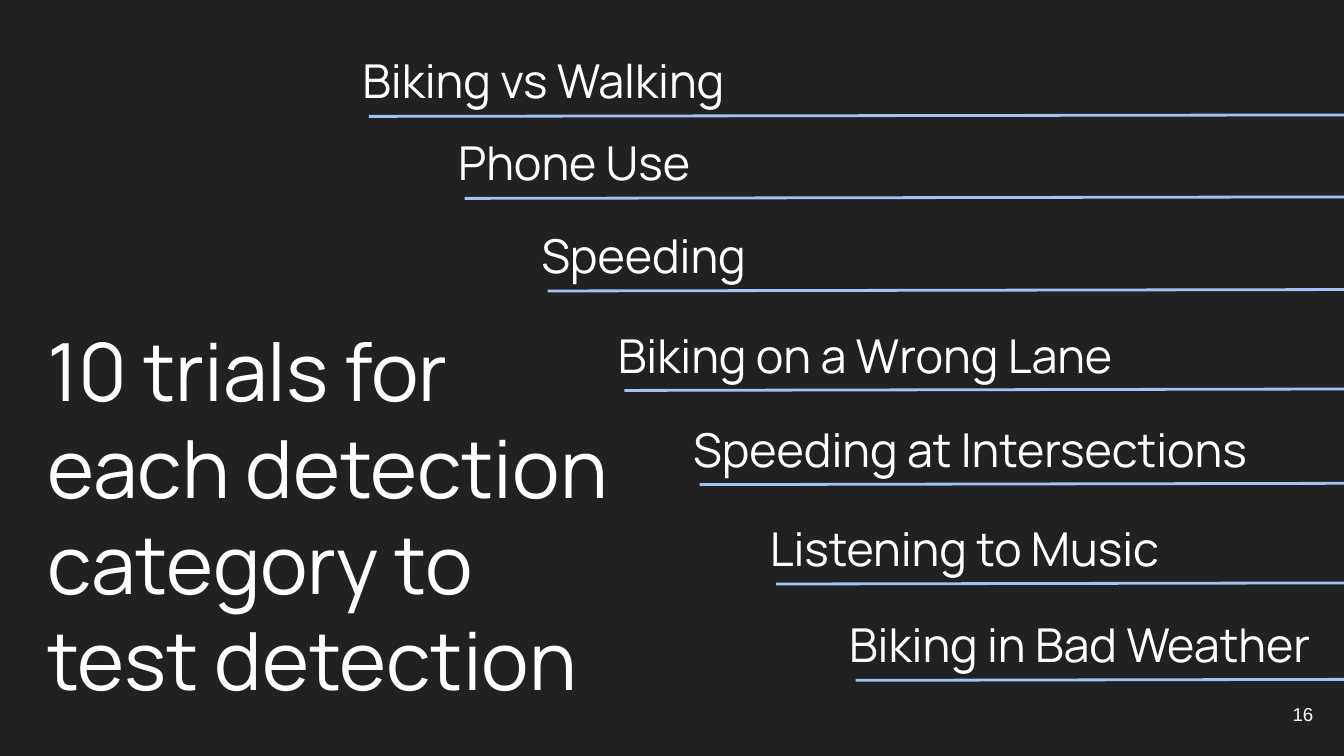
import dataclasses

import pptx
import pptx.dml.color
import pptx.enum.shapes
import pptx.enum.text
import pptx.oxml.ns
import pptx.util
from lxml import etree
from pptx.util import Cm


@dataclasses.dataclass(frozen=True)
class Theme:
    """Colours, fonts and type sizes of the deck."""
    background: str = "212121"
    text: str = "FFFFFF"
    rule: str = "A4C2F4"
    font: str = "Manrope"
    number_font: str = "Arial"
    headline_size: int = 43
    category_size: int = 25
    number_size: int = 10
    rule_width: float = 1.5


@dataclasses.dataclass(frozen=True)
class Box:
    """A region of the slide in centimetres."""
    left: float
    top: float
    width: float
    height: float

    def lengths(self):
        """Return the four lengths for python-pptx."""
        return [Cm(value) for value in dataclasses.astuple(self)]


THEME = Theme()
INSET = 0.25
CATEGORY_HEIGHT = 1.6
RULE_INDENT, RULE_DROP, RULE_RISE = 0.37, 1.46, 0.03

CATEGORIES = [
    ("Biking vs Walking", 6.6, 0.74, 16.84, 19.89),
    ("Phone Use", 8.41, 2.29, 11.56, 17.76),
    ("Speeding", 9.98, 4.04, 8.79, 16.74),
    ("Biking on a Wrong Lane", 11.43, 5.92, 12.37, 14.97),
    ("Speeding at Intersections", 12.85, 7.7, 11.56, 14.97),
    ("Listening to Music", 14.3, 9.58, 8.79, 14.97),
    ("Biking in Bad Weather", 15.8, 11.4, 10.11, 14.97),
]


def rgb(value):
    """Turn a hex string into a colour."""
    return pptx.dml.color.RGBColor.from_string(value)


def write(frame, words, size, font, anchor, alignment):
    """Format a text frame and add its single run."""
    frame.word_wrap = True
    frame.auto_size = pptx.enum.text.MSO_AUTO_SIZE.NONE
    frame.vertical_anchor = anchor
    frame.margin_left = frame.margin_right = Cm(INSET)
    frame.margin_top = frame.margin_bottom = Cm(INSET)
    paragraph = frame.paragraphs[0]
    paragraph.alignment = alignment
    paragraph.line_spacing = 1.0
    paragraph.space_before = pptx.util.Pt(0)
    run = paragraph.add_run()
    run.text = words
    run.font.size = pptx.util.Pt(size)
    run.font.name = font
    run.font.color.rgb = rgb(THEME.text)


def add_headline(slide, box, words):
    """Place the statement in the title placeholder."""
    headline = slide.shapes.title
    headline.left, headline.top, headline.width, headline.height = box.lengths()
    write(headline.text_frame, words, THEME.headline_size, THEME.font,
          pptx.enum.text.MSO_ANCHOR.BOTTOM, pptx.enum.text.PP_ALIGN.LEFT)


def add_category(slide, box, words, rule_length):
    """Place a detection category with the rule beneath it."""
    category = slide.shapes.add_textbox(*box.lengths())
    write(category.text_frame, words, THEME.category_size, THEME.font,
          pptx.enum.text.MSO_ANCHOR.TOP, pptx.enum.text.PP_ALIGN.LEFT)
    start = box.left + RULE_INDENT
    level = box.top + RULE_DROP
    rule = slide.shapes.add_connector(
        pptx.enum.shapes.MSO_CONNECTOR.STRAIGHT,
        Cm(start), Cm(level), Cm(start + rule_length), Cm(level - RULE_RISE))
    rule.line.color.rgb = rgb(THEME.rule)
    rule.line.width = pptx.util.Pt(THEME.rule_width)
    etree.SubElement(rule._element.spPr, pptx.oxml.ns.qn("a:effectLst"))


def add_page_number(slide, box, number):
    """Place the page number in its corner."""
    page_number = slide.shapes.add_textbox(*box.lengths())
    write(page_number.text_frame, number, THEME.number_size, THEME.number_font,
          pptx.enum.text.MSO_ANCHOR.MIDDLE, pptx.enum.text.PP_ALIGN.RIGHT)


def build_trials_slide(deck):
    """Build the slide of detection categories."""
    slide = deck.slides.add_slide(deck.slide_layouts.get_by_name("Title Only"))
    slide.background.fill.solid()
    slide.background.fill.fore_color.rgb = rgb(THEME.background)
    add_headline(slide, Box(0.64, 5.66, 11.25, 7.95),
                 "10 trials for each detection category to test detection")
    for words, left, top, width, rule_length in CATEGORIES:
        add_category(slide, Box(left, top, width, CATEGORY_HEIGHT), words, rule_length)
    add_page_number(slide, Box(23.55, 12.95, 1.52, 1.09), "16")


def main():
    """Create the deck and save it."""
    deck = pptx.Presentation()
    deck.slide_width, deck.slide_height = Cm(25.4), Cm(14.29)
    build_trials_slide(deck)
    deck.save("out.pptx")


if __name__ == "__main__":
    main()
